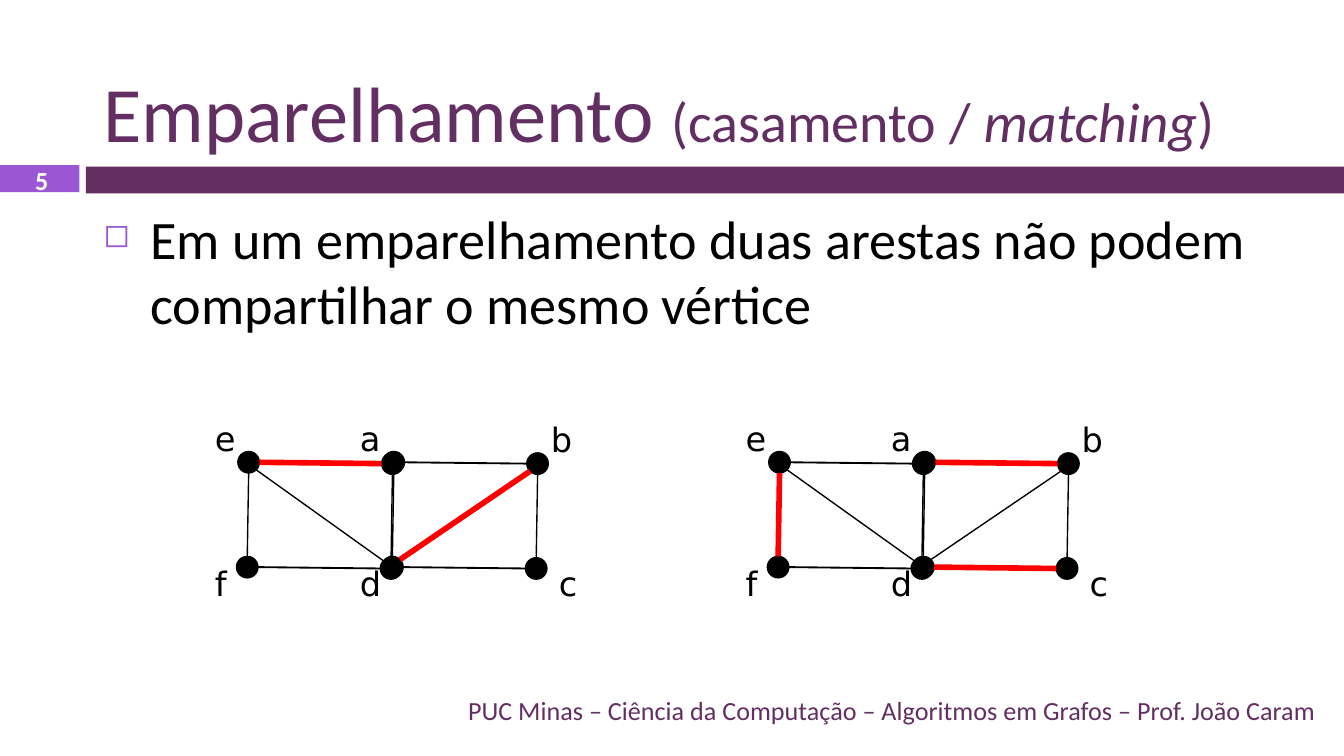
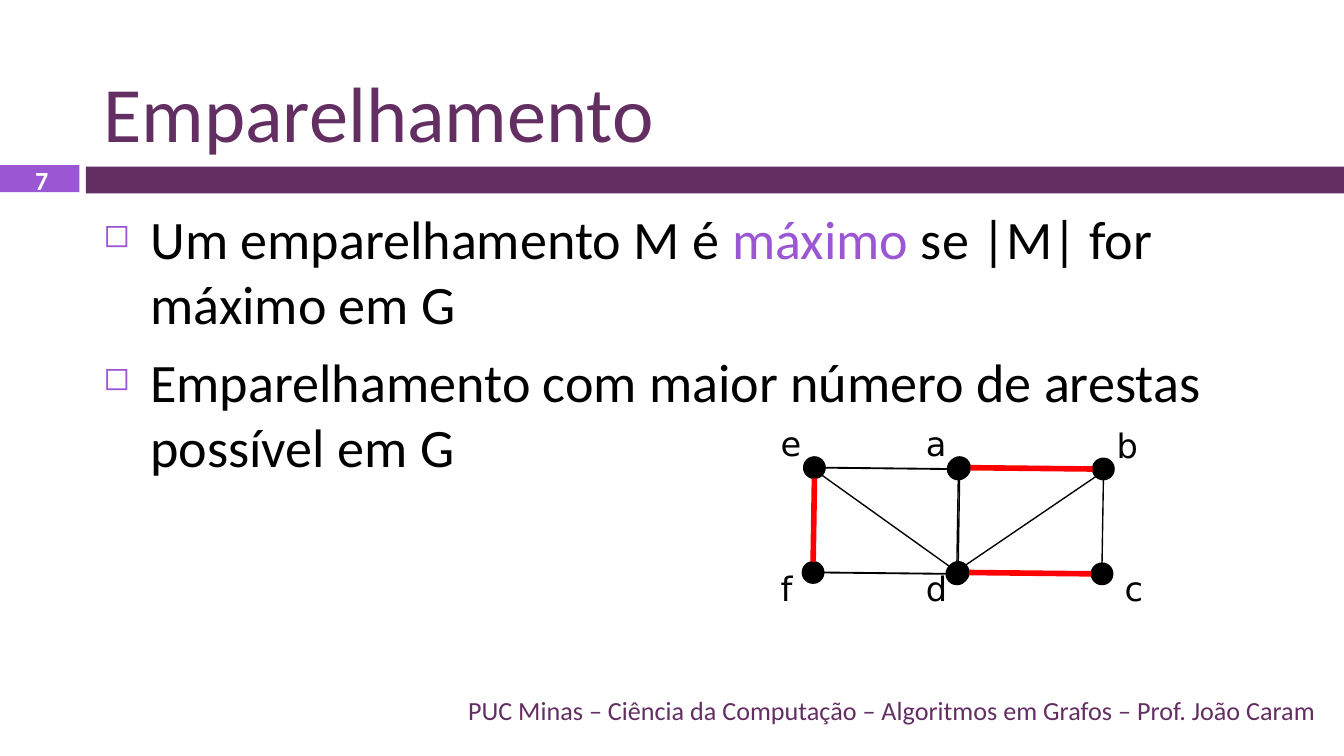
from lxml.etree import SubElement
from pptx import Presentation
from pptx.dml.color import RGBColor
from pptx.enum.shapes import MSO_CONNECTOR, MSO_SHAPE
from pptx.enum.text import MSO_ANCHOR, PP_ALIGN
from pptx.oxml.ns import qn
from pptx.util import Inches, Pt

PLUM = RGBColor(0x63, 0x2E, 0x62)
VIOLET = RGBColor(0x9B, 0x57, 0xD3)
RED = RGBColor(0xFF, 0x00, 0x00)
BLACK = RGBColor(0x00, 0x00, 0x00)
WHITE = RGBColor(0xFF, 0xFF, 0xFF)

TEXT_FONT = "Calibri"
LABEL_FONT = "DejaVu Sans"
FOOTER = "PUC Minas – Ciência da Computação – Algoritmos em Grafos – Prof. João Caram"

# A graph is two square cells side by side. The corners of a cell are
# numbered 0 top left, 1 top right, 2 bottom left, 3 bottom right.
CELL_STEP = 1.08
VERTEX_SIZE = 0.16
CORNERS = [(0.01, 0), (1.08, 0.01), (0, 0.78), (1.07, 0.79)]
LABEL_OFFSETS = [(-0.26, -0.3), (1.16, -0.29), (-0.26, 0.78), (1.22, 0.78)]
ANCHORS = {
    "top": (0.5, 0), "bottom": (0.5, 1), "left": (0, 0.5), "right": (1, 0.5),
    "top left": (0.15, 0.15), "top right": (0.85, 0.15),
    "bottom left": (0.15, 0.85), "bottom right": (0.85, 0.85),
}
SIDES = [
    (2, "top", 0, "bottom", 0.75),
    (1, "left", 0, "right", 1),
    (1, "bottom", 3, "top", 0.75),
    (3, "left", 2, "right", 1),
]
FALLING_DIAGONAL = (0, "bottom right", 3, "top left", 0.75)
RISING_DIAGONAL = (1, "bottom left", 2, "top right", 0.75)


class Deck:
    """Holds the shared style and the slide being filled."""

    def __init__(self):
        self.presentation = Presentation()
        self.presentation.slide_width = Inches(10)
        self.presentation.slide_height = Inches(10) * 9 // 16
        self.slide = None

    def add_slide(self, number, title_runs):
        layout = self.presentation.slide_layouts[6]
        self.slide = self.presentation.slides.add_slide(layout)
        self.shape(MSO_SHAPE.RECTANGLE, 0.64, 1.24, 9.37, 0.2, PLUM)
        self.shape(MSO_SHAPE.RECTANGLE, 0, 1.23, 0.59, 0.2, VIOLET)
        title = self.text_box(0.67, 0.13, 9.22, 1.1, MSO_ANCHOR.BOTTOM)
        for text, size, italic in title_runs:
            self.run(title.paragraphs[0], text, size, PLUM, italic=italic)
        page = self.text_box(0.02, 1.24, 0.58, 0.2, MSO_ANCHOR.MIDDLE)
        page.paragraphs[0].alignment = PP_ALIGN.CENTER
        self.run(page.paragraphs[0], str(number), 14, WHITE, bold=True)
        footer = self.text_box(0.67, 5.13, 9.22, 0.3, MSO_ANCHOR.MIDDLE)
        footer.paragraphs[0].alignment = PP_ALIGN.RIGHT
        self.run(footer.paragraphs[0], FOOTER, 14, PLUM)

    def shape(self, kind, left, top, width, height, color):
        shape = self.slide.shapes.add_shape(
            kind, Inches(left), Inches(top), Inches(width), Inches(height))
        shape.shadow.inherit = False
        shape.fill.solid()
        shape.fill.fore_color.rgb = color
        shape.line.fill.background()
        return shape

    def text_box(self, left, top, width, height, anchor=MSO_ANCHOR.TOP):
        box = self.slide.shapes.add_textbox(
            Inches(left), Inches(top), Inches(width), Inches(height))
        frame = box.text_frame
        frame.word_wrap = True
        frame.vertical_anchor = anchor
        frame.margin_left = frame.margin_right = Inches(0.1)
        frame.margin_top = frame.margin_bottom = Inches(0.05)
        return frame

    def run(self, paragraph, text, size, color, font=TEXT_FONT, bold=None, italic=None):
        run = paragraph.add_run()
        run.text = text
        run.font.name = font
        run.font.size = Pt(size)
        run.font.color.rgb = color
        run.font.bold = bold
        run.font.italic = italic

    def bullets(self, items):
        """Each item is a list of (text, color) runs."""
        frame = self.text_box(0.67, 1.48, 9.22, 3.58)
        for index, runs in enumerate(items):
            paragraph = frame.add_paragraph() if index else frame.paragraphs[0]
            self.add_bullet(paragraph)
            if index:
                paragraph.space_before = Pt(7)
            for text, color in runs:
                self.run(paragraph, text, 29, color)

    def add_bullet(self, paragraph):
        properties = paragraph._p.get_or_add_pPr()
        properties.set("marL", str(Inches(0.35)))
        properties.set("indent", str(-Inches(0.35)))
        color = SubElement(properties, qn("a:buClr"))
        SubElement(color, qn("a:srgbClr"), val=str(VIOLET))
        SubElement(properties, qn("a:buSzPct"), val="60000")
        SubElement(properties, qn("a:buChar"), char="◻")

    def line(self, start, end, color, width):
        connector = self.slide.shapes.add_connector(
            MSO_CONNECTOR.STRAIGHT, *(Inches(value) for value in (*start, *end)))
        connector.line.color.rgb = color
        connector.line.width = Pt(width)
        SubElement(connector._element.spPr, qn("a:effectLst"))

    def vertex(self, left, top):
        vertex = self.shape(MSO_SHAPE.OVAL, left, top, VERTEX_SIZE, VERTEX_SIZE, BLACK)
        vertex.line.color.rgb = BLACK
        vertex.line.width = Pt(0.75)

    def label(self, left, top, text):
        frame = self.text_box(left, top, 0.34, 0.4)
        self.run(frame.paragraphs[0], text, 18, BLACK, LABEL_FONT)

    def cell(self, left, top, names, labelled, diagonal, matching):
        """Draw a square with a diagonal; names gives the vertex at each corner."""
        def anchor_point(corner, anchor):
            return tuple(
                origin + offset + VERTEX_SIZE * share
                for origin, offset, share in zip((left, top), CORNERS[corner], ANCHORS[anchor]))

        for x, y in CORNERS:
            self.vertex(left + x, top + y)
        for start, start_anchor, end, end_anchor, width in [*SIDES, diagonal]:
            matched = {names[start], names[end]} in matching
            self.line(anchor_point(start, start_anchor), anchor_point(end, end_anchor),
                      RED if matched else BLACK, 3 if matched else width)
        for name, (x, y) in zip(names, LABEL_OFFSETS):
            if name in labelled:
                self.label(left + x, top + y, name)

    def graph(self, left, top, *matched_edges):
        matching = [set(edge) for edge in matched_edges]
        self.cell(left + CELL_STEP, top, "abdc", "abdc", RISING_DIAGONAL, matching)
        self.cell(left, top, "eafd", "ef", FALLING_DIAGONAL, matching)


def main():
    deck = Deck()

    deck.add_slide(5, [
        ("Emparelhamento ", 42, None), ("(casamento / ", 30, None),
        ("matching", 30, True), (")", 30, None)])
    deck.bullets([
        [("Em um emparelhamento duas arestas não podem compartilhar o mesmo vértice", BLACK)]])
    deck.graph(1.76, 3.36, "ea", "bd")
    deck.graph(5.71, 3.36, "ef", "ab", "dc")

    deck.add_slide(7, [("Emparelhamento", 42, None)])
    deck.bullets([
        [("Um emparelhamento M é ", BLACK), ("máximo ", VIOLET),
         ("se |M| for máximo em G", BLACK)],
        [("Emparelhamento com maior número de arestas possível em G", BLACK)]])
    deck.graph(5.97, 3.4, "ef", "ab", "dc")

    deck.presentation.save("out.pptx")


if __name__ == "__main__":
    main()
